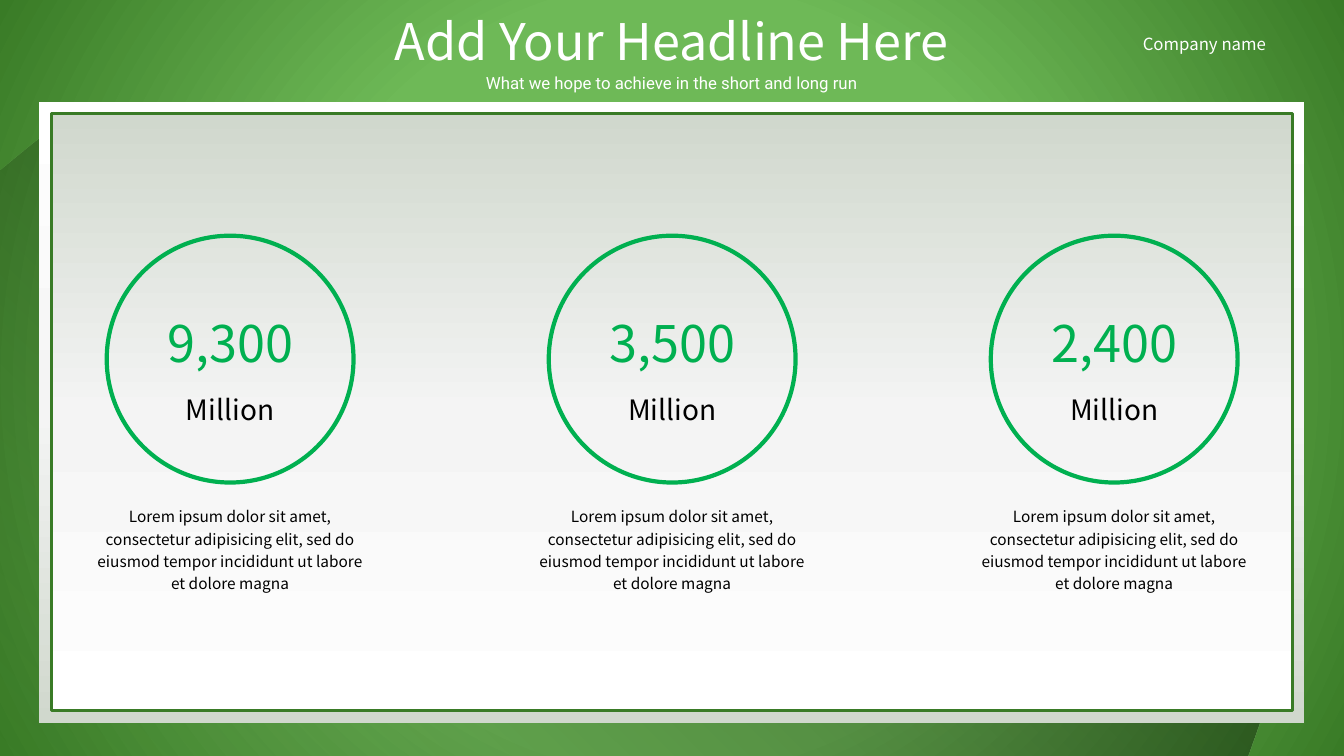
from lxml import etree
from pptx import Presentation
from pptx import util as u
from pptx.dml.color import RGBColor
from pptx.enum import shapes, text
from pptx.oxml import parse_xml
from pptx.oxml.ns import nsdecls, qn

SANS = "Noto Sans CJK SC"
WHITE, BLACK, LIME, GREEN = "FFFFFF", "000000", "00B050", "397B26"
PANEL_STOPS = [(0, WHITE, 100), (50, "F4F4F4", 100), (100, "D0D8CD", 100)]


def paint_gradient(owner, element, stops, angle=None):
    """Fill owner with (position, colour, opacity) stops; circular without an angle."""
    owner.fill.background()
    grad = parse_xml(f'<a:gradFill {nsdecls("a")} rotWithShape="1"><a:gsLst/></a:gradFill>')
    for position, colour, opacity in stops:
        stop = etree.SubElement(grad[0], qn("a:gs"), pos=str(position * 1000))
        shade = etree.SubElement(stop, qn("a:srgbClr"), val=colour)
        if opacity < 100:
            etree.SubElement(shade, qn("a:alpha"), val=str(opacity * 1000))
    if angle is None:
        circle = etree.SubElement(grad, qn("a:path"), path="circle")
        etree.SubElement(circle, qn("a:fillToRect"), l="50000", t="50000", r="50000", b="50000")
    else:
        etree.SubElement(grad, qn("a:lin"), ang=str(angle * 60000), scaled="0")
    empty = next(element.iter(qn("a:noFill")))
    empty.getparent().replace(empty, grad)


def write(box, wording, size, colour, font=SANS, align=text.PP_ALIGN.CENTER,
          anchor=text.MSO_ANCHOR.TOP, wrap=True, spacing=1.0):
    frame = box.text_frame
    frame.text = wording
    frame.word_wrap = wrap
    frame.auto_size = text.MSO_AUTO_SIZE.SHAPE_TO_FIT_TEXT
    frame.vertical_anchor = anchor
    para = frame.paragraphs[0]
    para.alignment = align
    para.line_spacing = spacing
    para.font.size = u.Pt(size)
    para.font.name = font
    para.font.color.rgb = RGBColor.from_string(colour)


deck = Presentation()
deck.slide_width, deck.slide_height = u.Cm(33.87), u.Cm(19.05)
page = deck.slides.add_slide(deck.slide_layouts[5])
paint_gradient(page.background, page.element, [(50, "6EB957", 100), (100, GREEN, 100)])

# Header
title = page.shapes.title
title.left, title.top, title.width, title.height = u.Cm(9.19), u.Cm(0.13), u.Cm(15.47), u.Cm(1.8)
write(title, "Add Your Headline Here", 36, WHITE, wrap=False)
subtitle = page.shapes.add_textbox(u.Cm(11.43), u.Cm(1.65), u.Cm(11), u.Cm(0.81))
write(subtitle, "What we hope to achieve in the short and long run", 12, WHITE,
      font="Roboto", wrap=False, spacing=1.1)
company = page.shapes.add_textbox(u.Cm(28.55), u.Cm(0.72), u.Cm(3.96), u.Cm(0.76))
write(company, "Company name", 12, WHITE, align=text.PP_ALIGN.LEFT, wrap=False)

# Long shadow behind the panel
corners = [(u.Cm(x), u.Cm(y)) for x, y in
           [(1, 3.5), (31.98, 17.48), (31.42, 19.05), (0, 19.05), (0, 4.32)]]
outline = page.shapes.build_freeform(*corners[0])
outline.add_line_segments(corners[1:], close=True)
long_shadow = outline.convert_to_shape()
long_shadow.shadow.inherit = False
paint_gradient(long_shadow, long_shadow.element, [(0, BLACK, 50), (100, BLACK, 0)], 135)
long_shadow.line.fill.background()

# Frame and inner panel
for left, top, width, height, angle, edge in [(0.99, 2.57, 31.88, 15.65, 90, None),
                                              (1.3, 2.87, 31.27, 15.04, 270, GREEN)]:
    panel = page.shapes.add_shape(shapes.MSO_SHAPE.ROUNDED_RECTANGLE,
                                  u.Cm(left), u.Cm(top), u.Cm(width), u.Cm(height))
    panel.adjustments[0] = 0
    panel.shadow.inherit = False
    paint_gradient(panel, panel.element, PANEL_STOPS, angle)
    if edge:
        panel.line.color.rgb = RGBColor.from_string(edge)
        panel.line.width = u.Pt(2.25)
    else:
        panel.line.fill.background()

# Three figures, each centred on its own column
CAPTION = ("Lorem ipsum dolor sit amet, consectetur adipisicing elit, "
           "sed do eiusmod tempor incididunt ut labore et dolore magna")
MIDDLE = text.MSO_ANCHOR.MIDDLE
for column, figure in enumerate(["9,300", "3,500", "2,400"]):
    centre = 5.8 + column * 11.14
    ring = page.shapes.add_shape(shapes.MSO_SHAPE.OVAL, u.Cm(centre - 3.11), u.Cm(5.94),
                                 u.Cm(6.22), u.Cm(6.22))
    ring.shadow.inherit = False
    ring.fill.background()
    ring.line.color.rgb = RGBColor.from_string(LIME)
    ring.line.width = u.Pt(3)
    for wording, top, width, height, size, colour, anchor, spacing in [
            (figure, 7.72, 5.36, 1.8, 36, LIME, MIDDLE, 1.0),
            ("Million", 9.75, 3.12, 1.12, 20, BLACK, MIDDLE, 1.0),
            (CAPTION, 12.57, 7.44, 2.51, 11, BLACK, text.MSO_ANCHOR.TOP, 1.2)]:
        box = page.shapes.add_textbox(u.Cm(centre - width / 2), u.Cm(top), u.Cm(width), u.Cm(height))
        write(box, wording, size, colour, anchor=anchor, spacing=spacing)

deck.save("out.pptx")
